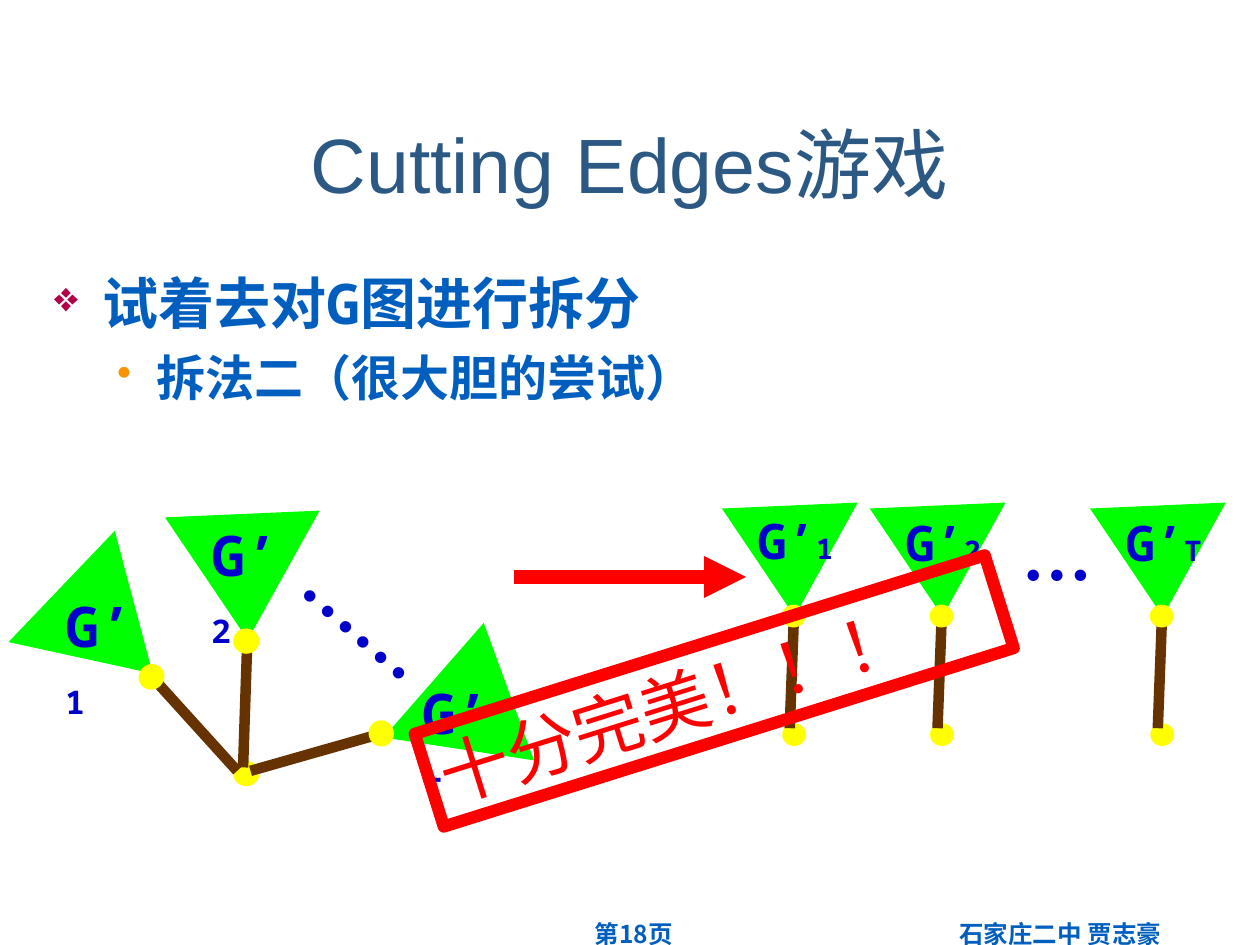
from dataclasses import dataclass
from lxml import etree
from pptx import Presentation
from pptx.dml.color import RGBColor
from pptx.enum.lang import MSO_LANGUAGE_ID
from pptx.enum.shapes import MSO_CONNECTOR, MSO_SHAPE
from pptx.enum.text import MSO_ANCHOR, PP_ALIGN
from pptx.oxml.ns import qn
from pptx.util import Cm, Pt

OVAL = MSO_SHAPE.OVAL
TRI = MSO_SHAPE.ISOSCELES_TRIANGLE
RECT = MSO_SHAPE.RECTANGLE
LINE = MSO_CONNECTOR.STRAIGHT
LEFT, MID = PP_ALIGN.LEFT, PP_ALIGN.CENTER
TOP, MIDDLE = MSO_ANCHOR.TOP, MSO_ANCHOR.MIDDLE
CHINESE = MSO_LANGUAGE_ID.SIMPLIFIED_CHINESE


@dataclass(frozen=True)
class Theme:
    title: str = "2C5884"
    body: str = "005FBE"
    gem: str = "B20048"
    bullet: str = "F89400"
    leaf: str = "00FF00"
    node: str = "FFFF00"
    stem: str = "663300"
    label: str = "0000CC"
    alert: str = "FF0000"
    sans: str = "Arial"
    cjk: str = "Noto Sans CJK KR"
    mono: str = "Noto Sans Mono"
    serif: str = "Times New Roman"
    title_size: int = 44
    head_size: int = 32
    sub_size: int = 28
    foot_size: int = 14
    big_size: int = 40


T = Theme()


def rgb(code):
    return RGBColor.from_string(code)


def add_run(para, text, face, size, color, bold=True, base=None):
    run = para.add_run()
    run.text = text
    values = {"name": face, "size": Pt(size), "bold": bold, "language_id": CHINESE}
    for key, value in values.items():
        setattr(run.font, key, value)
    run.font.color.rgb = rgb(color)
    props = run.font._element
    etree.SubElement(props, qn("a:ea")).set("typeface", T.cjk)
    if base:
        props.set("baseline", str(base))


def set_frame(shape, align=LEFT, anchor=TOP):
    frame = shape.text_frame
    values = {
        "word_wrap": True,
        "vertical_anchor": anchor,
        "margin_left": Cm(0.25),
        "margin_right": Cm(0.25),
        "margin_top": Cm(0.13),
        "margin_bottom": Cm(0.13),
    }
    for key, value in values.items():
        setattr(frame, key, value)
    para = frame.paragraphs[0]
    para.alignment = align
    return para


def add_text(slide, box, runs, align=LEFT, anchor=TOP, turn=0):
    shape = slide.shapes.add_textbox(*map(Cm, box))
    shape.rotation = turn
    para = set_frame(shape, align, anchor)
    for run in runs:
        add_run(para, *run)
    return shape


def add_shape(slide, kind, box, fill, turn=0):
    shape = slide.shapes.add_shape(kind, *map(Cm, box))
    shape.shadow.inherit = False
    shape.rotation = turn
    shape.line.fill.background()
    if fill:
        shape.fill.solid()
        shape.fill.fore_color.rgb = rgb(fill)
    else:
        shape.fill.background()
    return shape


def add_line(slide, ends, color, width, arrow=False):
    line = slide.shapes.add_connector(LINE, *map(Cm, ends))
    line.line.color.rgb = rgb(color)
    line.line.width = Pt(width)
    if arrow:
        tail = etree.SubElement(line.line._get_or_add_ln(), qn("a:tailEnd"))
        tail.set("type", "triangle")
    etree.SubElement(line._element.spPr, qn("a:effectLst"))


def add_bullet(para, mark, color, scale, margin, hang):
    props = para._p.get_or_add_pPr()
    props.set("marL", str(Cm(margin)))
    props.set("indent", str(-Cm(hang)))
    tint = etree.SubElement(props, qn("a:buClr"))
    etree.SubElement(tint, qn("a:srgbClr")).set("val", color)
    etree.SubElement(props, qn("a:buSzPct")).set("val", str(scale * 1000))
    etree.SubElement(props, qn("a:buChar")).set("char", mark)


def add_label(slide, box, sub, size):
    style = (T.mono, size, T.label, True)
    add_text(slide, box, [("G’", *style), (sub, *style, -25)])


def add_dots(slide, spot, text, turn=0):
    run = (text, T.serif, T.big_size, T.label)
    add_text(slide, (*spot, 3.78, 1.96), [run], turn=turn)


def add_branch(slide, edge, leaf, turn, knob, tilt):
    add_line(slide, edge, T.stem, 6)
    add_shape(slide, TRI, leaf, T.leaf, turn)
    add_shape(slide, OVAL, knob, T.node, tilt)


def add_tree(slide):
    dot = (0.53, 0.51)
    add_shape(slide, OVAL, (4.7, 15.34, *dot), T.node)
    parts = [
        ((3.15, 13.74, 4.78, 15.54), (0.61, 11.43, 3.1, 2.54), 133.7,
         (2.79, 13.39), 317.9, (1.07, 11.79), "1"),
        ((4.98, 13.06, 4.9, 15.47), (3.38, 10.36, 3.12, 2.54), 177.5,
         (4.7, 12.67), 1.7, (4.01, 10.36), "2"),
        ((7.54, 14.83, 5.05, 15.54), (7.52, 13.06, 2.95, 2.69), 249.9,
         (7.42, 14.53), 74.1, (8.26, 13.54), "T"),
    ]
    for edge, leaf, turn, knob, tilt, _, _ in parts:
        add_branch(slide, edge, leaf, turn, (*knob, *dot), tilt)
    add_dots(slide, (5.74, 11.61), "……", 40.8)
    for *_, spot, sub in parts:
        add_label(slide, (*spot, 2.03, 1.8), sub, T.head_size)


def add_split(slide):
    dot = (0.48, 0.46)
    parts = [(14.6, 10.16, "1"), (17.58, 10.21, "2"), (22.02, 10.21, "T")]
    for x, _, _ in parts:
        add_shape(slide, OVAL, (x + 1.17, 14.58, *dot), T.node)
        add_branch(slide, (x + 1.4, 12.55, x + 1.32, 14.68),
                   (x, 10.19, 2.74, 2.24), 177.5,
                   (x + 1.16, 12.19, *dot), 1.7)
    add_dots(slide, (20.35, 10.16), "…")
    for x, y, sub in parts:
        add_label(slide, (x + 0.42, y, 2.11, 1.6), sub, T.sub_size)


def add_body(slide):
    head = (T.head_size, T.body)
    box = add_text(slide, (0.84, 5.28, 23.72, 11.66), [
        ("试着去对", T.sans, *head),
        ("G", T.mono, *head),
        ("图进行拆分", T.sans, *head),
    ])
    frame = box.text_frame
    add_bullet(frame.paragraphs[0], "❖", T.gem, 75, 0.97, 0.97)
    para = frame.add_paragraph()
    para.level = 1
    para.space_before = Pt(7)
    add_bullet(para, "•", T.bullet, 85, 2.06, 0.79)
    add_run(para, "拆法二（很大胆的尝试）", T.sans, T.sub_size, T.body)


def add_stamp(slide):
    stamp = add_shape(slide, RECT, (8.38, 12.95, 12.04, 1.96), None, 342.6)
    stamp.line.color.rgb = rgb(T.alert)
    stamp.line.width = Pt(7)
    para = set_frame(stamp)
    add_run(para, "十分完美！！！", T.serif, T.big_size, T.alert, False)


def main():
    deck = Presentation()
    deck.slide_width, deck.slide_height = Cm(25.4), Cm(19.05)
    slide = deck.slides.add_slide(deck.slide_layouts[6])
    foot = (T.foot_size, T.body)
    add_text(slide, (17.35, 18.39, 8.05, 1.32),
             [("石家庄二中 贾志豪", T.sans, *foot)], MID)
    add_text(slide, (9.6, 18.39, 6.35, 1.32), [("第18页", T.cjk, *foot)], MID)
    title = ("Cutting Edges游戏", T.sans, T.title_size, T.title, False)
    add_text(slide, (0.84, 1.7, 23.72, 3.18), [title], MID, MIDDLE)
    add_body(slide)
    add_tree(slide)
    add_line(slide, (10.36, 11.63, 15.04, 11.63), T.alert, 8, True)
    add_split(slide)
    add_stamp(slide)
    deck.save("out.pptx")


if __name__ == "__main__":
    main()
